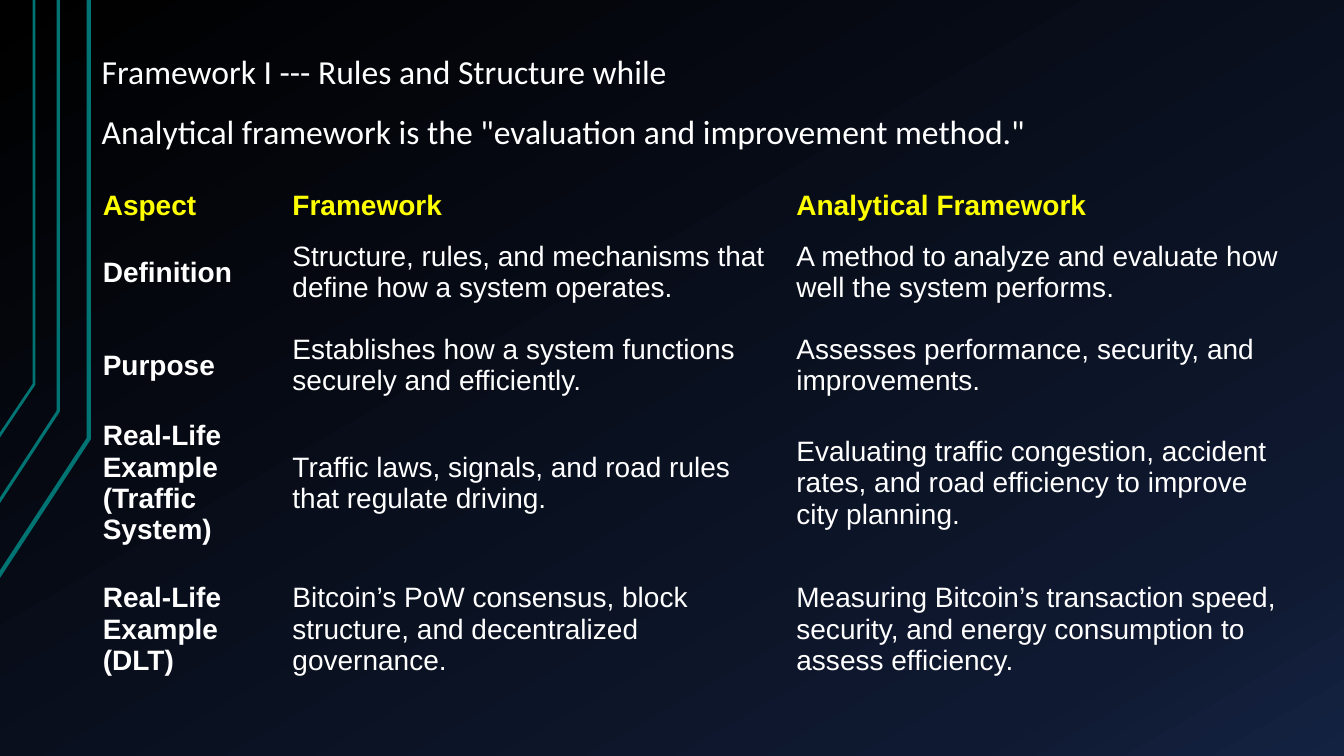
from copy import deepcopy

from pptx import Presentation
from pptx.dml.color import RGBColor
from pptx.enum.text import MSO_ANCHOR as Anchor, MSO_AUTO_SIZE as AutoSize, PP_ALIGN as Align
from pptx.util import Cm, Pt

COLORS = {"black": "000000", "navy": "0F1931", "blue": "142242",
          "teal": "007373", "yellow": "FFFF00", "white": "FFFFFF"}
NO_STYLE_NO_GRID = "{2D5ABB26-0587-4C30-8999-92F81FD0307C}"


def color(name):
    return RGBColor.from_string(COLORS[name])


def format_text(paragraph, color_name, **values):
    for key, value in values.items():
        setattr(paragraph.font, key, value)
    paragraph.font.color.rgb = color(color_name)
    paragraph.alignment = Align.LEFT


deck = Presentation()
deck.slide_width, deck.slide_height = Cm(33.87), Cm(19.05)
slide = deck.slides.add_slide(deck.slide_layouts[5])

backdrop = slide.background.fill
backdrop.gradient()
backdrop.gradient_angle = 300
stop_list = slide.element.xpath(".//a:gsLst")[0]
stop_list.append(deepcopy(stop_list[-1]))
for stop, (position, name) in zip(backdrop.gradient_stops,
                                  [(0, "black"), (0.85, "navy"), (1, "blue")]):
    stop.position = position
    stop.color.rgb = color(name)

for start_y, bend_x, bend_y, weight in [(14.53, 2.24, 11.05, 3),
                                        (12.67, 1.47, 10.36, 2.25),
                                        (11.02, 0.86, 9.68, 2)]:
    builder = slide.shapes.build_freeform(Cm(-0.04), Cm(start_y))
    builder.add_line_segments([(Cm(bend_x), Cm(bend_y)), (Cm(bend_x), 0)], close=False)
    circuit = builder.convert_to_shape()
    circuit.shadow.inherit = False
    circuit.fill.background()
    circuit.line.color.rgb = color("teal")
    circuit.line.width = Pt(weight)

title = slide.shapes.title
title.left, title.top, title.width, title.height = Cm(2.31), Cm(0.64), Cm(30.28), Cm(3.33)
heading = title.text_frame
heading.text = ('Framework I --- Rules and Structure while\n'
                'Analytical framework is the "evaluation and improvement method."')
for key, value in {"word_wrap": True, "vertical_anchor": Anchor.TOP,
                   "auto_size": AutoSize.SHAPE_TO_FIT_TEXT}.items():
    setattr(heading, key, value)
for line in heading.paragraphs:
    format_text(line, "white", name="Calibri", size=Pt(24))
    line.line_spacing = 1.5
    line.space_before = Pt(0)

comparison = [
    ("Aspect", "Framework", "Analytical Framework"),
    ("Definition",
     "Structure, rules, and mechanisms that define how a system operates.",
     "A method to analyze and evaluate how well the system performs."),
    ("Purpose",
     "Establishes how a system functions securely and efficiently.",
     "Assesses performance, security, and improvements."),
    ("Real-Life Example (Traffic System)",
     "Traffic laws, signals, and road rules that regulate driving.",
     "Evaluating traffic congestion, accident rates, and road efficiency to improve city planning."),
    ("Real-Life Example (DLT)",
     "Bitcoin’s PoW consensus, block structure, and decentralized governance.",
     "Measuring Bitcoin’s transaction speed, security, and energy consumption to assess efficiency."),
]
column_widths = [4.78, 12.7, 12.93]
row_heights = [0.89, 2.34, 2.34, 3.05, 3.78]
cell_format = {"vertical_anchor": Anchor.MIDDLE,
               "margin_left": Cm(0.18), "margin_right": Cm(0.18),
               "margin_top": Cm(0.1), "margin_bottom": Cm(0.1)}

table = slide.shapes.add_table(len(comparison), len(column_widths), Cm(2.41), Cm(4.65),
                               Cm(sum(column_widths)), Cm(sum(row_heights))).table
table.first_row = table.horz_banding = False
table._tbl.tblPr.xpath("a:tableStyleId")[0].text = NO_STYLE_NO_GRID
for column, width in zip(table.columns, column_widths):
    column.width = Cm(width)
for row, height in zip(table.rows, row_heights):
    row.height = Cm(height)

for r, entries in enumerate(comparison):
    for c, entry in enumerate(entries):
        cell = table.cell(r, c)
        cell.text = entry
        cell.fill.background()
        for key, value in cell_format.items():
            setattr(cell, key, value)
        format_text(cell.text_frame.paragraphs[0], "yellow" if r == 0 else "white",
                    name="Arial", size=Pt(20), bold=r == 0 or c == 0)

deck.save("out.pptx")
